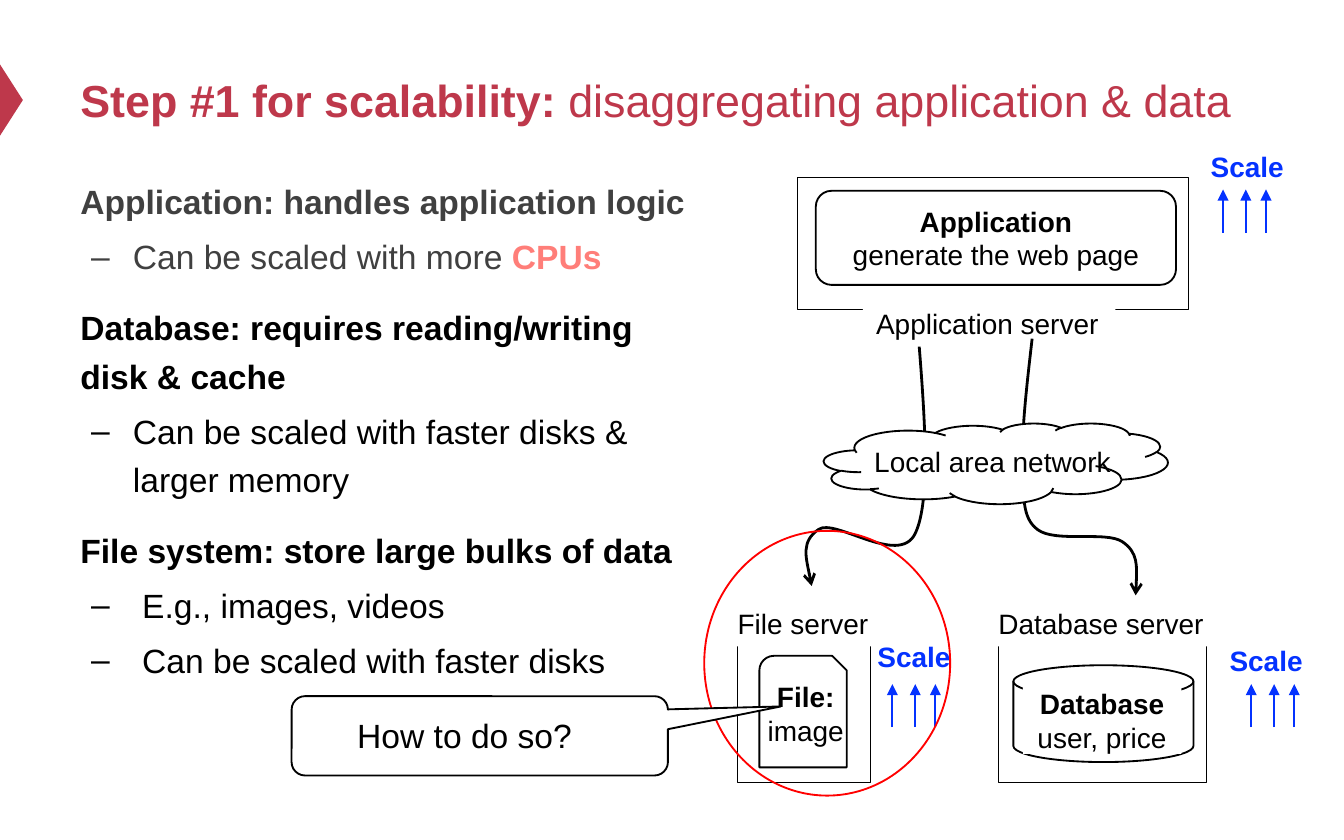
"""Build a slide on scaling a web service by separating application and data."""
from lxml import etree
from pptx import Presentation
from pptx.dml.color import RGBColor
from pptx.enum.shapes import MSO_CONNECTOR, MSO_SHAPE
from pptx.enum.text import MSO_ANCHOR, PP_ALIGN
from pptx.oxml.ns import qn
from pptx.util import Inches, Pt

RECT, ROUND = MSO_SHAPE.RECTANGLE, MSO_SHAPE.ROUNDED_RECTANGLE
TRIANGLE, OVAL, CLOUD = MSO_SHAPE.ISOSCELES_TRIANGLE, MSO_SHAPE.OVAL, MSO_SHAPE.CLOUD
DOCUMENT, DISK = MSO_SHAPE.SNIP_ROUND_RECTANGLE, MSO_SHAPE.FLOWCHART_MAGNETIC_DISK
CALLOUT = MSO_SHAPE.ROUNDED_RECTANGULAR_CALLOUT
STRAIGHT = MSO_CONNECTOR.STRAIGHT
TOP, MIDDLE = MSO_ANCHOR.TOP, MSO_ANCHOR.MIDDLE
LEFT, CENTER = PP_ALIGN.LEFT, PP_ALIGN.CENTER

COLORS = {"crimson": "BE384B", "gray": "404040", "coral": "FF7E79", "black": "000000",
          "white": "FFFFFF", "blue": "0432FF", "red": "FF0000"}
FONT = "Arial"

TITLE = [[("Step #1 for scalability: ", True, "crimson"),
          ("disaggregating application & data", False, "crimson")]]
BODY = [
    ("head", [("Application: handles application logic", True, "gray")]),
    ("point", [("Can be scaled with more ", False, "gray"), ("CPUs", True, "coral")]),
    ("head", [("Database: requires reading/writing disk & cache", True, "black")]),
    ("point", [("Can be scaled with faster disks & larger memory", False, "black")]),
    ("head", [("File system: store large bulks of data", True, "black")]),
    ("wide point", [("E.g., images, videos", False, "black")]),
    ("wide point", [("Can be scaled with faster disks", False, "black")]),
]
BODY_STYLES = {"head": (0, 0, 12), "point": (0.39, 0.31, 3.6), "wide point": (0.46, 0.38, 3.6)}

FILE_CURVE = [(6.83, 2.45), (6.88, 3.07), (6.93, 3.72), (6.81, 3.97), (6.69, 4.22),
              (6.21, 3.85), (6.09, 3.94), (5.96, 4.03), (6.01, 4.21), (6.04, 4.36)]
DATABASE_CURVE = [(7.68, 2.52), (7.64, 2.87), (7.6, 3.21), (7.61, 3.45), (7.62, 3.69),
                  (7.6, 3.85), (7.72, 3.94), (7.85, 4.04), (8.23, 3.95), (8.35, 4.03),
                  (8.47, 4.11), (8.46, 4.27), (8.45, 4.43)]

APPLICATION_SERVER = [
    (RECT, (5.93, 1.32, 2.91, 0.98), "white", "black", 0.5),
    (ROUND, (6.07, 1.42, 2.68, 0.7), "white", "black", 1),
]
FILE_SERVER = [
    (RECT, (5.49, 4.74, 0.99, 1.08), "white", "black", 0.5),
    (DOCUMENT, (5.65, 4.88, 0.65, 0.83), "white", "black", 1),
]
DATABASE_SERVER = [(RECT, (7.43, 4.74, 1.55, 1.08), "white", "black", 0.5)]
NETWORK = [(CLOUD, (6.13, 3.15, 2.56, 0.6), "white", "black", 1)]
DATABASE = [(DISK, (7.54, 4.95, 1.34, 0.72), None, "black", 1)]

SERVER_LABELS = {
    "Application server": (6.42, 2.23, 1.88, 0.35),
    "File server": (5.39, 4.46, 1.19, 0.35),
    "Database server": (7.33, 4.46, 1.75, 0.35),
}
SCALES = [((6.43, 4.71), (6.64, 5.41)), ((9.05, 4.74), (9.31, 5.41)), ((8.91, 1.06), (9.1, 1.73))]
ARROW_OFFSETS, ARROW_HEIGHT = (0, 0.17, 0.32), 0.32


def color(name):
    return RGBColor.from_string(COLORS[name])


def add_outline(page, kind, place, fill, line, width):
    shape = page.shapes.add_shape(kind, *map(Inches, place))
    shape.shadow.inherit = False
    if fill:
        shape.fill.solid()
        shape.fill.fore_color.rgb = color(fill)
    else:
        shape.fill.background()
    if line:
        shape.line.color.rgb = color(line)
        shape.line.width = Pt(width)
    else:
        shape.line.fill.background()
    return shape


def add_spans(para, spans, size):
    for text, bold, name in spans:
        span = para.add_run()
        span.text = text
        for key, value in {"name": FONT, "size": Pt(size), "bold": bold}.items():
            setattr(span.font, key, value)
        span.font.color.rgb = color(name)


def add_text(page, place, lines, size=15, align=LEFT, anchor=TOP, wrap=True, fill=None):
    box = page.shapes.add_textbox(*map(Inches, place))
    if fill:
        box.fill.solid()
        box.fill.fore_color.rgb = color(fill)
    frame = box.text_frame
    frame.word_wrap, frame.vertical_anchor = wrap, anchor
    for index, spans in enumerate(lines):
        para = frame.add_paragraph() if index else frame.paragraphs[0]
        para.alignment = align
        add_spans(para, spans, size)
    return box


def add_pair(page, place, head, detail, anchor=TOP, fill=None):
    lines = [[(head, True, "black")], [(detail, False, "black")]]
    add_text(page, place, lines, align=CENTER, anchor=anchor, fill=fill)


def add_server_label(page, text):
    add_text(page, SERVER_LABELS[text], [[(text, False, "black")]], wrap=False, fill="white")


def add_body(page):
    box = add_text(page, (0.5, 1.24, 4.78, 4.76), [spans for _, spans in BODY], 18)
    for index, (para, (style, _)) in enumerate(zip(box.text_frame.paragraphs, BODY)):
        margin, hang, before = BODY_STYLES[style]
        para.line_spacing = 1.2
        if index:
            para.space_before = Pt(before)
        if hang:
            props = para._p.get_or_add_pPr()
            props.set("marL", str(Inches(margin)))
            props.set("indent", str(-Inches(hang)))
            etree.SubElement(props, qn("a:buFont")).set("typeface", FONT)
            etree.SubElement(props, qn("a:buChar")).set("char", "–")


def add_arrowhead(line, kind):
    etree.SubElement(line.line._get_or_add_ln(), qn("a:tailEnd")).set("type", kind)


def add_curve(page, points):
    corners = [(Inches(x), Inches(y)) for x, y in points]
    builder = page.shapes.build_freeform(*corners[0])
    builder.add_line_segments(corners[1:], close=False)
    curve = builder.convert_to_shape()
    curve.shadow.inherit = False
    curve.fill.background()
    curve.line.color.rgb = color("black")
    curve.line.width = Pt(1.5)
    add_arrowhead(curve, "arrow")
    segments = list(curve._element.iter(qn("a:lnTo")))
    for start in range(0, len(segments), 3):
        bezier = etree.SubElement(segments[start].getparent(), qn("a:cubicBezTo"))
        for segment in segments[start:start + 3]:
            bezier.append(segment[0])
            segment.getparent().remove(segment)


def add_scale_arrows(page, left, bottom):
    for offset in ARROW_OFFSETS:
        x = Inches(left + offset)
        arrow = page.shapes.add_connector(STRAIGHT, x, Inches(bottom), x, Inches(bottom - ARROW_HEIGHT))
        arrow.line.color.rgb = color("blue")
        arrow.line.width = Pt(1)
        add_arrowhead(arrow, "triangle")
        etree.SubElement(arrow._element.spPr, qn("a:effectLst"))


def add_outlines(page, outlines):
    for outline in outlines:
        add_outline(page, *outline)


def main():
    deck = Presentation()
    deck.slide_width, deck.slide_height = Inches(10), Inches(6.25)
    page = deck.slides.add_slide(deck.slide_layouts[6])

    add_outline(page, TRIANGLE, (-0.18, 0.66, 0.53, 0.17), "crimson", None, 0).rotation = 90
    add_curve(page, FILE_CURVE)
    add_text(page, (0.5, 0.25, 9, 0.98), TITLE, 24, anchor=MIDDLE)
    add_body(page)

    add_outlines(page, APPLICATION_SERVER)
    add_pair(page, (6.07, 1.42, 2.68, 0.7), "Application", "generate the web page", MIDDLE)
    add_server_label(page, "Application server")
    add_outlines(page, FILE_SERVER)
    add_pair(page, (5.5, 5.01, 0.99, 0.61), "File:", "image")
    add_server_label(page, "File server")
    add_outlines(page, DATABASE_SERVER)
    add_server_label(page, "Database server")
    add_curve(page, DATABASE_CURVE)
    add_outlines(page, NETWORK)
    add_text(page, (6.17, 3.26, 2.43, 0.35), [[("Local area network", False, "black")]], align=CENTER)

    for label, arrows in SCALES:
        add_scale_arrows(page, *arrows)
        add_text(page, (*label, 0.75, 0.35), [[("Scale", True, "blue")]], wrap=False)
    add_outlines(page, DATABASE)
    add_pair(page, (7.61, 5.06, 1.18, 0.55), "Database", "user, price", fill="white")
    add_outline(page, OVAL, (5.24, 3.95, 1.83, 1.97), None, "red", 1)
    callout = add_outline(page, CALLOUT, (2.17, 5.18, 2.8, 0.59), "white", "black", 1)
    for index, value in enumerate((0.8, -0.37, 0.17)):
        callout.adjustments[index] = value
    add_text(page, (2.56, 5.27, 2.3, 0.4), [[("How to do so?", False, "black")]], 18)
    deck.save("out.pptx")


if __name__ == "__main__":
    main()
